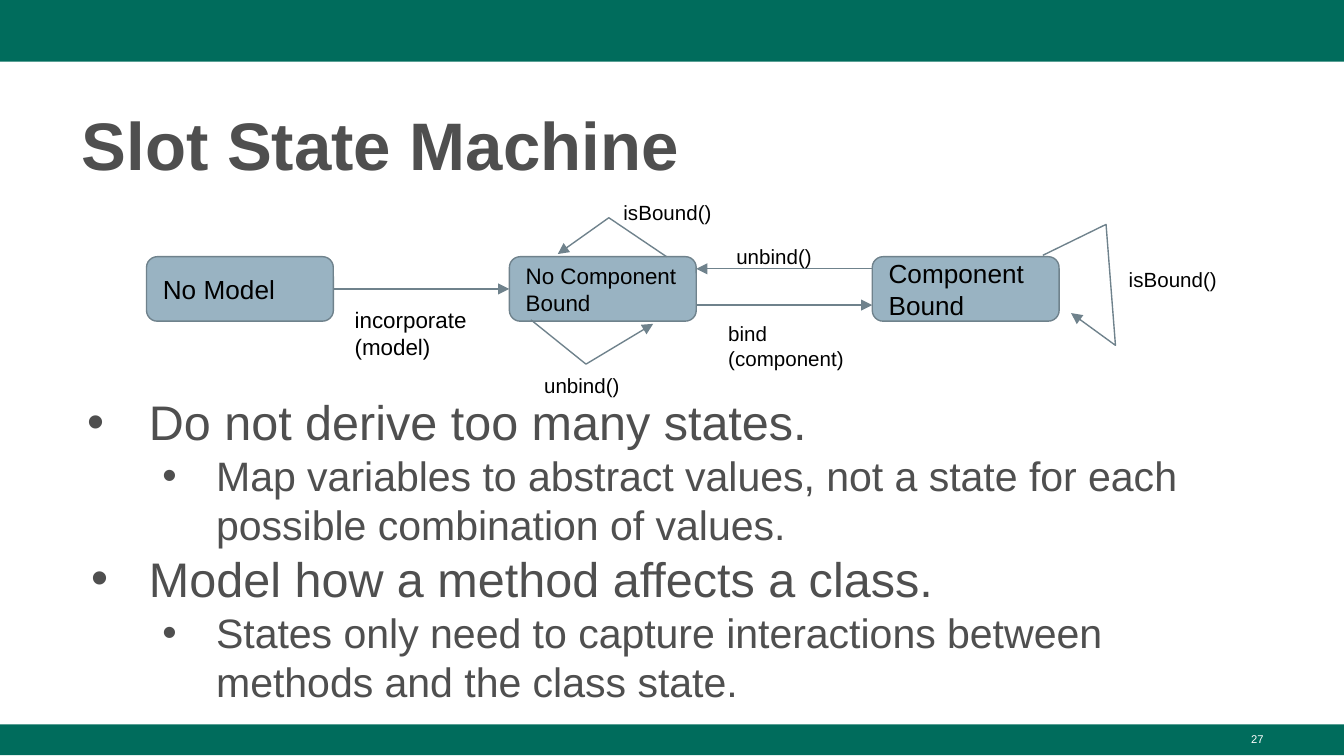
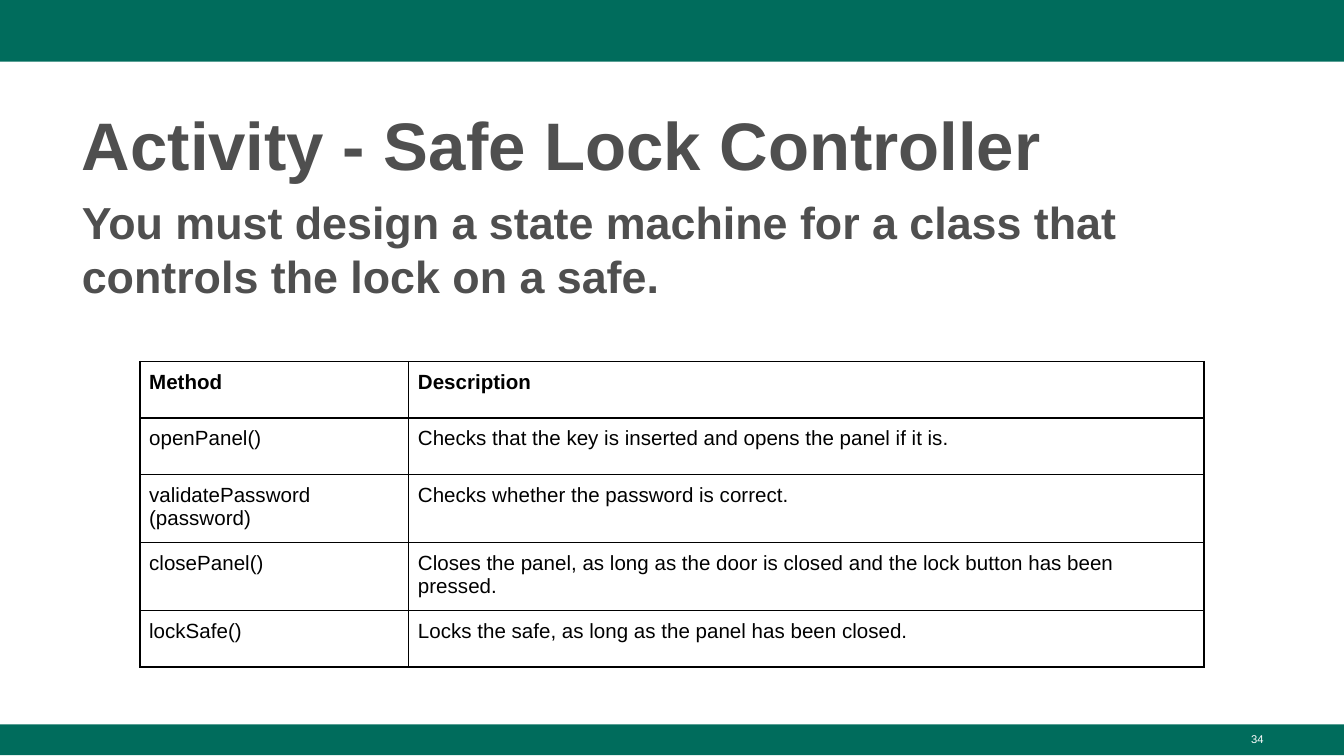
from lxml import etree
from pptx import Presentation
from pptx.dml.color import RGBColor
from pptx.enum import shapes, text
from pptx.oxml import ns
from pptx.util import Inches, Pt

FONT = "Arial"
COLORS = {
    "band": "006C5C", "heading": "4F4F4F", "ink": "000000",
    "state": "99B3C2", "edge": "6F828C", "light": "FFFFFF",
}
WIDTH = 10
BANDS = [(0, 0.46), (5.39, 0.23)]  # top, height

# Slot state machine
STATES = [("No Model", 14), ("No Component Bound", 12), ("Component Bound", 14)]
STATE_LEFT, STATE_STEP, STATE_TOP = 1.09, 2.7, 1.91
STATE_SIZE = (1.39, 0.48)
TRANSITIONS = [(0, 1, 2.15), (1, 2, 2.27), (2, 1, 2.0)]  # from, to, height on page
LOOPS = [
    [(3.95, 2.38), (4.36, 2.71), (4.86, 2.41)],
    [(4.96, 1.91), (4.53, 1.62), (4.15, 1.89)],
    [(7.76, 1.9), (8.23, 1.67), (8.3, 2.57), (7.97, 2.33)],
]
LABELS = [  # wording, left, top, width, size
    ("incorporate (model)", 2.54, 2.21, 1.15, 12),
    ("bind (component)", 5.32, 2.32, 1.06, 11),
    ("unbind()", 5.38, 1.74, 0.91, 11),
    ("unbind()", 3.95, 2.7, 0.91, 11),
    ("isBound()", 4.54, 1.41, 0.91, 11),
    ("isBound()", 8.3, 1.91, 0.91, 11),
]
ADVICE = [  # wording, level, hanging indent
    ("Do not derive too many states.", 0, 0.46),
    ("Map variables to abstract values, not a state for each possible "
     "combination of values.", 1, 0.4),
    ("Model how a method affects a class.", 0, 0.43),
    ("States only need to capture interactions between methods and the "
     "class state.", 1, 0.4),
]
ADVICE_SIZES = [26, 22]

# Safe lock activity
TASK = "You must design a state machine for a class that controls the lock on a safe."
METHODS = [
    ("Method", "Description"),
    ("openPanel()", "Checks that the key is inserted and opens the panel if it is."),
    ("validatePassword\v(password)", "Checks whether the password is correct."),
    ("closePanel()", "Closes the panel, as long as the door is closed and the "
     "lock button has been pressed."),
    ("lockSafe()", "Locks the safe, as long as the panel has been closed."),
]
COLUMN_WIDTHS, ROW_HEIGHT = [2, 5.92], 0.42


def rgb(name):
    return RGBColor.from_string(COLORS[name])


def add_xml(parent, tag, **attributes):
    return etree.SubElement(parent, ns.qn(tag), attributes)


def style_font(para, size, color, bold=False):
    for font in [para.font] + [span.font for span in para.runs]:
        font.name, font.size, font.bold = FONT, Pt(size), bold
        font.color.rgb = rgb(color)


def set_insets(frame, side, vertical):
    frame.margin_left = frame.margin_right = Inches(side)
    frame.margin_top = frame.margin_bottom = Inches(vertical)
    frame.word_wrap = True


def add_text(page, wording, area, size, color, bold=False, inset=0.05):
    box = page.shapes.add_textbox(*map(Inches, area))
    set_insets(box.text_frame, 0.1, inset)
    box.text_frame.text = wording
    para = box.text_frame.paragraphs[0]
    style_font(para, size, color, bold)
    return para


def add_page(deck, title, number):
    """Add a page with the shared bands, title and page number."""
    page = deck.slides.add_slide(deck.slide_layouts[6])
    for top, height in BANDS:
        band = page.shapes.add_shape(
            shapes.MSO_SHAPE.RECTANGLE, 0, Inches(top), Inches(WIDTH), Inches(height))
        band.shadow.inherit = False
        band.fill.solid()
        band.fill.fore_color.rgb = rgb("band")
        band.line.fill.background()
    add_text(page, title, (0.51, 0.67, 8.99, 0.73), 36, "heading", True).line_spacing = 1.08
    footer = add_text(page, str(number), (7.17, 5.4, 2.33, 0.23), 6, "light")
    footer.alignment = text.PP_ALIGN.RIGHT
    return page


def style_edge(line, arrow=True):
    line.color.rgb = rgb("edge")
    line.width = Pt(0.75)
    if arrow:
        add_xml(line._get_or_add_ln(), "a:tailEnd", type="triangle")


def state_left(index):
    return STATE_LEFT + STATE_STEP * index


def add_state(page, index, name, size):
    state = page.shapes.add_shape(
        shapes.MSO_SHAPE.ROUNDED_RECTANGLE,
        *map(Inches, (state_left(index), STATE_TOP, *STATE_SIZE)))
    state.shadow.inherit = False
    state.fill.solid()
    state.fill.fore_color.rgb = rgb("state")
    style_edge(state.line, arrow=False)
    frame = state.text_frame
    set_insets(frame, 0.1, 0.1)
    frame.vertical_anchor = text.MSO_ANCHOR.MIDDLE
    frame.text = name
    frame.paragraphs[0].alignment = text.PP_ALIGN.LEFT
    style_font(frame.paragraphs[0], size, "ink")


def add_transition(page, source, target, y):
    start, end = state_left(source), state_left(target)
    if source < target:
        start += STATE_SIZE[0]
    else:
        end += STATE_SIZE[0]
    arrow = page.shapes.add_connector(
        shapes.MSO_CONNECTOR.STRAIGHT, *map(Inches, (start, y, end, y)))
    style_edge(arrow.line)
    add_xml(arrow._element.spPr, "a:effectLst")


def add_loop(page, points):
    start, *rest = [(Inches(x), Inches(y)) for x, y in points]
    builder = page.shapes.build_freeform(*start)
    builder.add_line_segments(rest, close=False)
    loop = builder.convert_to_shape()
    loop.shadow.inherit = False
    loop.fill.background()
    style_edge(loop.line)


def add_advice(page):
    box = page.shapes.add_textbox(*map(Inches, (0.51, 2.87, 8.99, 2.34)))
    frame = box.text_frame
    set_insets(frame, 0.1, 0.05)
    frame.text = "\n".join(wording for wording, _, _ in ADVICE)
    for para, (_, level, hanging) in zip(frame.paragraphs, ADVICE):
        para.level = level
        props = para._p.get_or_add_pPr()
        props.set("marL", str(Inches(0.5 * (level + 1))))
        props.set("indent", str(-Inches(hanging)))
        add_xml(add_xml(props, "a:buClr"), "a:srgbClr", val=COLORS["heading"])
        add_xml(props, "a:buFont", typeface=FONT)
        add_xml(props, "a:buChar", char="•")
        style_font(para, ADVICE_SIZES[level], "heading")


def style_cell(cell, wording, bold):
    cell.margin_left = cell.margin_right = Inches(0.07)
    cell.margin_top = cell.margin_bottom = Inches(0.07)
    cell.text_frame.text = wording
    para = cell.text_frame.paragraphs[0]
    para.line_spacing = 1.0
    style_font(para, 11, "ink", bold)
    props = cell._tc.get_or_add_tcPr()
    for side in ("L", "R", "T", "B"):
        border = add_xml(props, f"a:ln{side}", w=str(Pt(1)))
        add_xml(add_xml(border, "a:solidFill"), "a:srgbClr", val=COLORS["ink"])
    cell.fill.background()


def add_methods(page):
    rows, columns = len(METHODS), len(COLUMN_WIDTHS)
    table = page.shapes.add_table(rows, columns, *map(
        Inches, (1.04, 2.69, sum(COLUMN_WIDTHS), ROW_HEIGHT * rows))).table
    table.first_row = table.horz_banding = False
    for column, width in zip(table.columns, COLUMN_WIDTHS):
        column.width = Inches(width)
    for r, wordings in enumerate(METHODS):
        table.rows[r].height = Inches(ROW_HEIGHT)
        for c, wording in enumerate(wordings):
            style_cell(table.cell(r, c), wording, bold=r == 0)


def main():
    deck = Presentation()
    deck.slide_width = Inches(WIDTH)
    deck.slide_height = deck.slide_width * 9 // 16

    page = add_page(deck, "Slot State Machine", 27)
    add_advice(page)
    for index, (name, size) in enumerate(STATES):
        add_state(page, index, name, size)
    for transition in TRANSITIONS:
        add_transition(page, *transition)
    for points in LOOPS:
        add_loop(page, points)
    for wording, left, top, width, size in LABELS:
        add_text(page, wording, (left, top, width, 0.17), size, "ink", inset=0.1)

    page = add_page(deck, "Activity - Safe Lock Controller", 34)
    add_text(page, TASK, (0.51, 1.4, 8.99, 3.81), 24, "heading", True)
    add_methods(page)

    deck.save("out.pptx")


if __name__ == "__main__":
    main()
